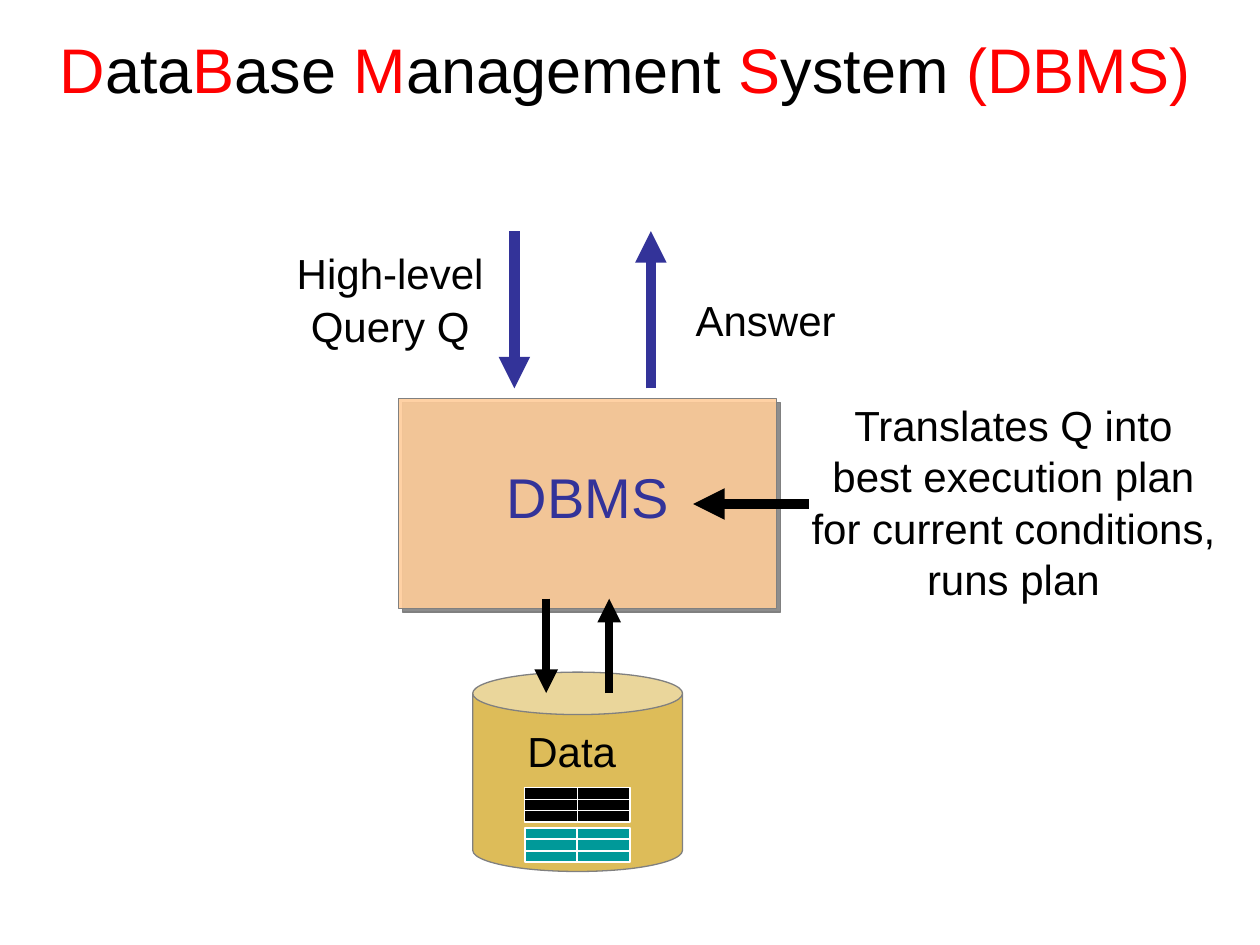
import pptx
import pptx.util
import pptx.dml.color
import pptx.enum.shapes
import pptx.enum.text
import pptx.oxml
import pptx.oxml.ns
from lxml import etree

Cm = pptx.util.Cm
Pt = pptx.util.Pt
RGBColor = pptx.dml.color.RGBColor
Shape = pptx.enum.shapes.MSO_SHAPE

BLACK = RGBColor(0x00, 0x00, 0x00)
WHITE = RGBColor(0xFF, 0xFF, 0xFF)
RED = RGBColor(0xFF, 0x00, 0x00)
BLUE = RGBColor(0x33, 0x33, 0x99)
GREY = RGBColor(0x80, 0x80, 0x80)
PEACH = RGBColor(0xFF, 0xCC, 0x99)
GOLD = RGBColor(0xCC, 0x99, 0x00)
TEAL = RGBColor(0x00, 0x99, 0x99)


def add_child(parent, tag, **attributes):
    child = etree.SubElement(parent, pptx.oxml.ns.qn(tag))
    for name, value in attributes.items():
        child.set(name, str(value))
    return child


def style_font(font, size, color):
    font.name = "Arial"
    font.size = Pt(size)
    font.color.rgb = color


def add_box(page, left, top, width, height, wrap=False):
    box = page.shapes.add_textbox(Cm(left), Cm(top), Cm(width), Cm(height))
    box.text_frame.word_wrap = wrap
    return box


def add_title(page, parts):
    box = add_box(page, 0.64, 0.2, 23.92, 2.34, wrap=True)
    box.text_frame.vertical_anchor = pptx.enum.text.MSO_ANCHOR.MIDDLE
    para = box.text_frame.paragraphs[0]
    para.alignment = pptx.enum.text.PP_ALIGN.CENTER
    for text, color in parts:
        span = para.add_run()
        span.text = text
        style_font(span.font, 36, color)


def add_label(page, left, top, width, height, text, size=24, color=BLACK,
              line_spacing=0.9, space_after=3.5):
    box = add_box(page, left, top, width, height)
    box.text_frame.text = text
    for para in box.text_frame.paragraphs:
        para.alignment = pptx.enum.text.PP_ALIGN.CENTER
        para.line_spacing = line_spacing
        para.space_after = Pt(space_after)
        for span in para.runs:
            style_font(span.font, size, color)


def add_solid(page, kind, left, top, width, height, fill, line, weight=0.75, opacity=100):
    solid = page.shapes.add_shape(kind, Cm(left), Cm(top), Cm(width), Cm(height))
    solid.shadow.inherit = False
    solid.fill.solid()
    solid.fill.fore_color.rgb = fill
    solid.line.color.rgb = line
    solid.line.width = Pt(weight)
    if opacity < 100:
        color = solid.fill._xPr.find(".//" + pptx.oxml.ns.qn("a:srgbClr"))
        add_child(color, "a:alpha", val=opacity * 1000)
    return solid


def add_drop_shadow(solid):
    effects = solid._element.spPr.find(pptx.oxml.ns.qn("a:effectLst"))
    shadow = add_child(effects, "a:outerShdw", blurRad=0, dist=Pt(2.8),
                       dir=45 * 60000, algn="ctr", rotWithShape=0)
    add_child(shadow, "a:srgbClr", val=GREY)


def add_line(page, start, end, color, weight, arrow=False):
    line = page.shapes.add_connector(
        pptx.enum.shapes.MSO_CONNECTOR.STRAIGHT,
        Cm(start[0]), Cm(start[1]), Cm(end[0]), Cm(end[1]))
    line.line.color.rgb = color
    line.line.width = Pt(weight)
    if arrow:
        add_child(line.line._get_or_add_ln(), "a:tailEnd", type="triangle")
    add_child(line._element.spPr, "a:effectLst")


def add_mini_table(page, top, fill, weight):
    left, cell_width, height = 10.58, 1.06, 0.69
    for column in range(2):
        add_solid(page, Shape.RECTANGLE, left + column * cell_width, top,
                  cell_width, height, fill, WHITE, weight)
    for row in (1, 2):
        y = top + row * height / 3
        add_line(page, (left, y), (left + 2 * cell_width, y), WHITE, weight)


def main():
    deck = pptx.Presentation()
    deck.slide_width = Cm(25.4)
    deck.slide_height = Cm(19.05)
    page = deck.slides.add_slide(deck.slide_layouts[6])

    add_title(page, [
        ("D", RED), ("ata", BLACK), ("B", RED), ("ase ", BLACK), ("M", RED),
        ("anagement ", BLACK), ("S", RED), ("ystem ", BLACK), ("(DBMS)", RED)])

    cylinder = add_solid(page, Shape.CAN, 9.53, 13.55, 4.23, 4.02, GOLD, GREY, opacity=65)
    cylinder.adjustments[0] = 0.213
    engine = add_solid(page, Shape.RECTANGLE, 8.04, 8.04, 7.62, 4.23, PEACH, GREY, opacity=89)
    add_drop_shadow(engine)

    add_label(page, 5.72, 4.87, 4.29, 2.28, "High-level\nQuery Q",
              line_spacing=1.0, space_after=1.5)
    add_label(page, 9.96, 9.35, 3.78, 1.48, "DBMS", size=32, color=BLUE)
    add_label(page, 10.37, 14.61, 2.31, 1.17, "Data")
    add_label(page, 13.77, 5.92, 3.33, 1.17, "Answer")
    add_label(page, 16.1, 8.04, 8.66, 4.22,
              "Translates Q into\nbest execution plan\nfor current conditions,\nruns plan")

    add_mini_table(page, 15.88, BLACK, 0.75)
    add_mini_table(page, 16.69, TEAL, 1)

    for start, end, color, weight in [
        ((10.37, 4.66), (10.37, 7.83), BLUE, 6),
        ((13.12, 7.83), (13.12, 4.66), BLUE, 6),
        ((16.3, 10.16), (13.97, 10.16), BLACK, 6),
        ((11.01, 12.07), (11.01, 13.97), BLACK, 4.5),
        ((12.28, 13.97), (12.28, 12.07), BLACK, 4.5),
    ]:
        add_line(page, start, end, color, weight, arrow=True)

    deck.save("out.pptx")


if __name__ == "__main__":
    main()
